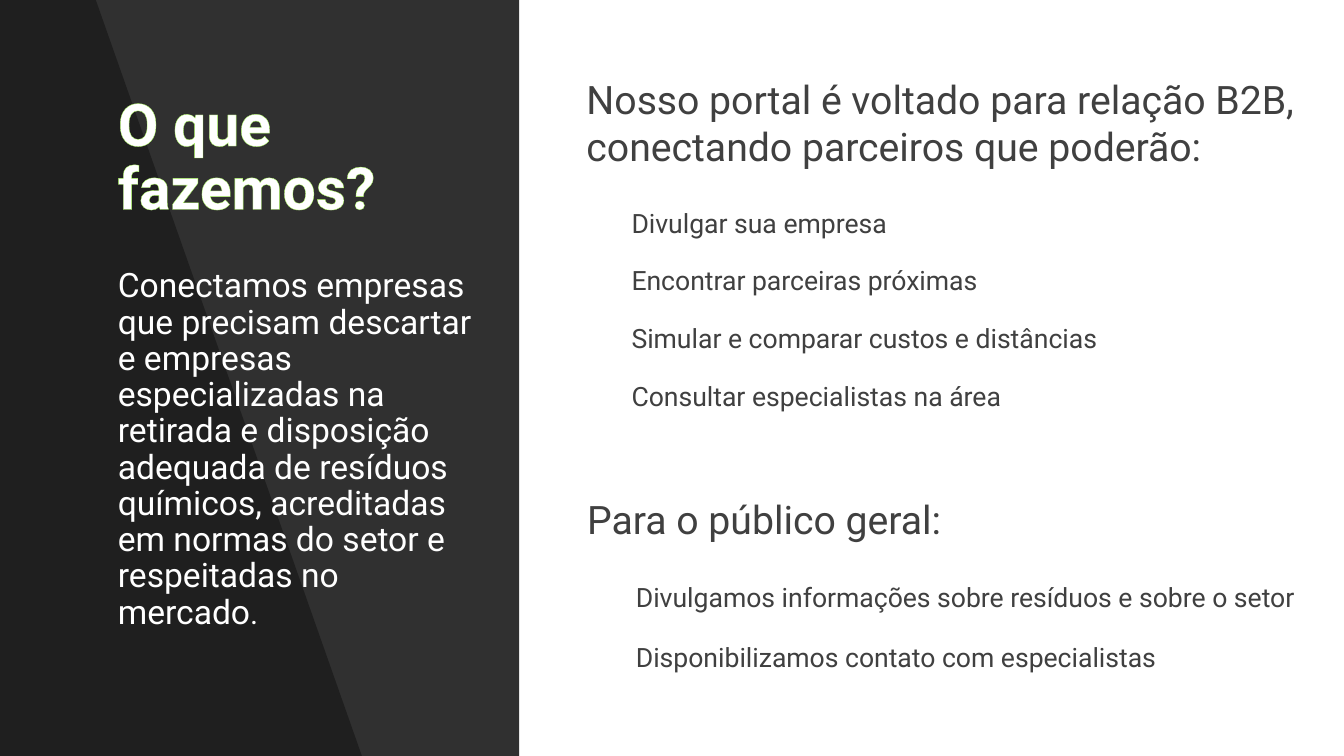
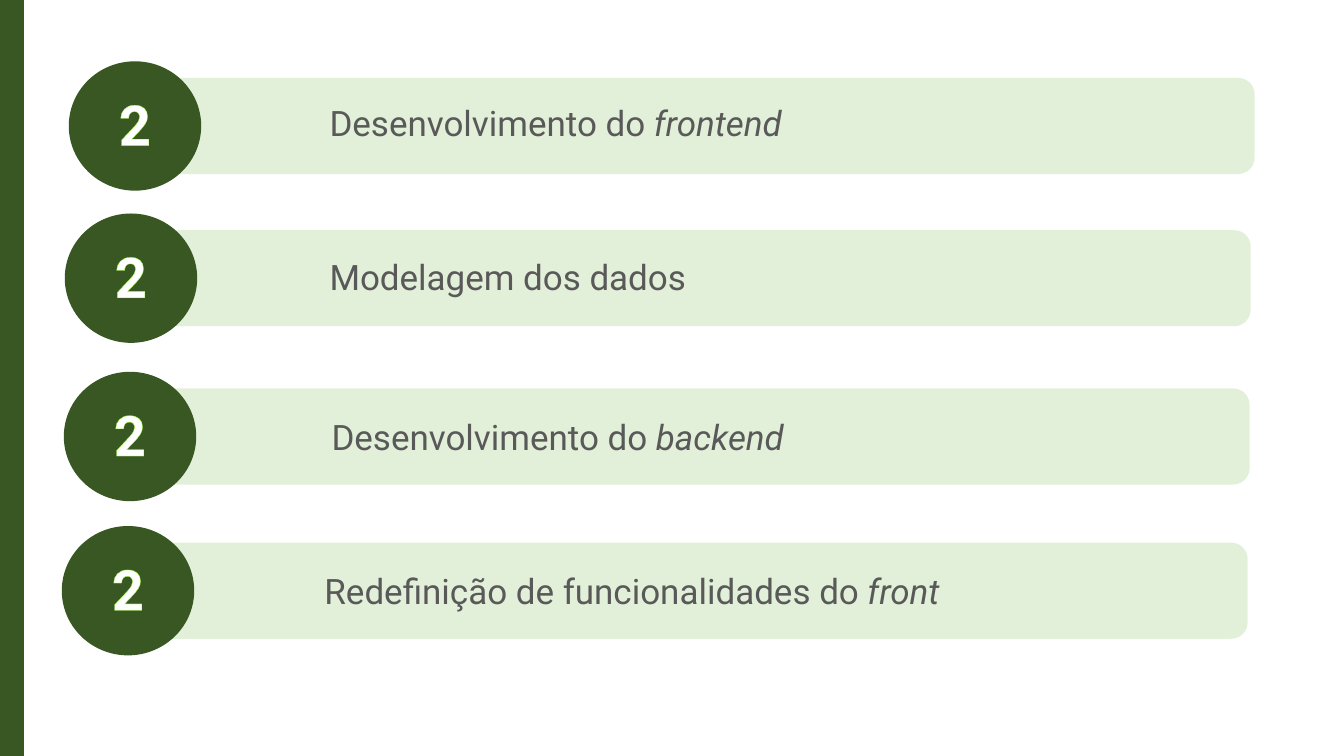
from dataclasses import dataclass

from lxml import etree
from pptx import Presentation
from pptx import util as u
from pptx.dml import color, fill
from pptx.enum import shapes, text
from pptx.oxml import ns
from pptx.shapes import autoshape, shapetree
from pptx.slide import Slide
from pptx.text import text as rich_text

SLIDE_WIDTH = u.Inches(13.33)
SLIDE_HEIGHT = u.Inches(7.5)
FONT = "Roboto"
COLORS = {
    "white": "FFFFFF",
    "black": "000000",
    "ink": "404040",
    "label": "595959",
    "green": "385723",
    "pale": "E2F0D9",
    "title_glow": "ABF75F",
    "number_glow": "94F533",
}


@dataclass(frozen=True)
class Box:
    """Position and size in percent of the slide."""

    left: float
    top: float
    width: float
    height: float

    def emu(self) -> tuple[int, int, int, int]:
        return (x(self.left), y(self.top), x(self.width), y(self.height))


@dataclass(frozen=True)
class Style:
    size: float
    color: str
    bold: bool = False
    glow: str = ""
    line_spacing: float = 1.0
    space_after: float = 0
    centered: bool = False


@dataclass(frozen=True)
class Tail:
    text: str
    size: float
    italic: bool = False


@dataclass(frozen=True)
class Section:
    heading: str
    heading_box: Box
    first_item: Box
    pitch: float
    items: tuple[str, ...]


@dataclass(frozen=True)
class Step:
    bar_left: float
    bar_top: float
    label_left: float
    label_top: float
    label: str
    emphasis: str = ""


TITLE = Style(42, "white", True, "title_glow", 0.9, 6, True)
BODY = Style(24, "white", line_spacing=0.9, space_after=6, centered=True)
HEADING = Style(28, "ink", space_after=6)
ITEM = Style(19, "ink", space_after=6)
NUMBER = Style(40, "white", True, "number_glow")
LABEL = Style(25, "label")

SECTIONS = (
    Section(
        "Nosso portal é voltado para relação B2B, conectando parceiros que poderão:",
        Box(42.9, 9.33, 57.1, 13.87),
        Box(46.25, 26.67, 50, 5.6),
        7.64,
        (
            "Divulgar sua empresa",
            "Encontrar parceiras próximas",
            "Simular e comparar custos e distâncias",
            "Consultar especialistas na área",
        ),
    ),
    Section(
        "Para o público geral:",
        Box(42.95, 64.93, 57.05, 7.6),
        Box(46.58, 76.13, 51.1, 5.6),
        8,
        (
            "Divulgamos informações sobre resíduos e sobre o setor",
            "Disponibilizamos contato com especialistas",
        ),
    ),
)

STEPS = (
    Step(10.05, 10.4, 23.78, 12.8, "Desenvolvimento do ", "frontend"),
    Step(9.75, 30.53, 23.78, 33.2, "Modelagem dos dados"),
    Step(9.68, 51.47, 23.93, 54.27, "Desenvolvimento do ", "backend"),
    Step(9.53, 71.87, 23.4, 74.67, "Redefinição de funcionalidades do ", "front"),
)


def x(percent: float) -> int:
    return round(SLIDE_WIDTH * percent / 100)


def y(percent: float) -> int:
    return round(SLIDE_HEIGHT * percent / 100)


def rgb(name: str) -> color.RGBColor:
    return color.RGBColor.from_string(COLORS[name])


def paint(target: fill.FillFormat, name: str) -> None:
    target.solid()
    target.fore_color.rgb = rgb(name)


def shade(shape: autoshape.Shape, opacity: int) -> None:
    shape.shadow.inherit = False
    shape.line.fill.background()
    paint(shape.fill, "black")
    tint = shape.fill._xPr.find(ns.qn("a:solidFill"))[0]
    etree.SubElement(tint, ns.qn("a:alpha")).set("val", str(opacity * 1000))


def add_solid(
    parent: shapetree._BaseGroupShapes,
    kind: shapes.MSO_SHAPE,
    box: Box,
    name: str,
) -> None:
    shape = parent.add_shape(kind, *box.emu())
    shape.shadow.inherit = False
    paint(shape.fill, name)
    paint(shape.line.fill, name)
    shape.line.width = u.Pt(1)


def outline(run: rich_text._Run, name: str) -> None:
    line = etree.Element(ns.qn("a:ln"), w=str(u.Pt(0.75)))
    solid = etree.SubElement(line, ns.qn("a:solidFill"))
    etree.SubElement(solid, ns.qn("a:srgbClr")).set("val", COLORS[name])
    run.font._element.insert(0, line)


def add_text(
    parent: shapetree._BaseGroupShapes,
    box: Box,
    words: str,
    style: Style,
    tail: Tail | None = None,
) -> None:
    frame = parent.add_textbox(*box.emu()).text_frame
    frame.word_wrap = True
    if style.centered:
        frame.vertical_anchor = text.MSO_ANCHOR.MIDDLE
    else:
        frame.auto_size = text.MSO_AUTO_SIZE.SHAPE_TO_FIT_TEXT
    frame.text = words
    paragraph = frame.paragraphs[0]
    paragraph.line_spacing = style.line_spacing
    paragraph.space_after = u.Pt(style.space_after)
    if tail:
        paragraph.add_run().text = tail.text
    for run in paragraph.runs:
        run.font.name = FONT
        run.font.size = u.Pt(style.size)
        run.font.bold = style.bold
        run.font.color.rgb = rgb(style.color)
        if style.glow:
            outline(run, style.glow)
    if tail:
        paragraph.runs[-1].font.size = u.Pt(tail.size)
        paragraph.runs[-1].font.italic = tail.italic


def add_section(slide: Slide, section: Section) -> None:
    add_text(slide.shapes, section.heading_box, section.heading, HEADING)
    first = section.first_item
    for index, item in enumerate(section.items):
        top = first.top + index * section.pitch
        box = Box(first.left, top, first.width, first.height)
        add_text(slide.shapes, box, item, ITEM)


def add_step(slide: Slide, step: Step) -> None:
    group = slide.shapes.add_group_shape().shapes
    left, top = step.bar_left, step.bar_top
    bar = Box(left, top, 83.25, 12.53)
    circle = Box(left - 4.88, top - 2.2, 9.75, 16.93)
    number = Box(left - 1.95, top + 0.8, 4.58, 10.27)
    label = Box(step.label_left, step.label_top, 74.33, 6.93)
    add_solid(group, shapes.MSO_SHAPE.ROUNDED_RECTANGLE, bar, "pale")
    add_solid(group, shapes.MSO_SHAPE.OVAL, circle, "green")
    add_text(group, number, "2", NUMBER)
    tail = Tail(step.emphasis, LABEL.size, True) if step.emphasis else None
    add_text(group, label, step.label, LABEL, tail)


def add_slide(presentation: Presentation) -> Slide:
    slide = presentation.slides.add_slide(presentation.slide_layouts[6])
    paint(slide.background.fill, "white")
    return slide


def build_overview(slide: Slide) -> None:
    panel_box = Box(0, 0, 38.63, 100)
    panel = slide.shapes.add_shape(shapes.MSO_SHAPE.RECTANGLE, *panel_box.emu())
    shade(panel, 81)
    builder = slide.shapes.build_freeform(0, 0)
    corners = ((7.13, 0), (26.93, 100), (0, 100))
    builder.add_line_segments([(x(h), y(v)) for h, v in corners], close=True)
    shade(builder.convert_to_shape(), 35)
    add_text(slide.shapes, Box(8.03, 5.73, 26.93, 30.53), "O que fazemos?", TITLE)
    add_text(
        slide.shapes,
        Box(8.03, 21.2, 28.58, 76.67),
        "Conectamos empresas que precisam descartar e empresas especializadas "
        "na retirada e disposição adequada de resíduos químicos, acreditadas "
        "em normas do setor e respeitadas no mercado",
        BODY,
        Tail(".", 22),
    )
    for section in SECTIONS:
        add_section(slide, section)


def build_steps(slide: Slide) -> None:
    band = Box(-0.05, 0, 1.8, 100)
    add_solid(slide.shapes, shapes.MSO_SHAPE.RECTANGLE, band, "green")
    for step in STEPS:
        add_step(slide, step)


def main() -> None:
    presentation = Presentation()
    presentation.slide_width = SLIDE_WIDTH
    presentation.slide_height = SLIDE_HEIGHT
    for build in (build_overview, build_steps):
        build(add_slide(presentation))
    presentation.save("out.pptx")


if __name__ == "__main__":
    main()
